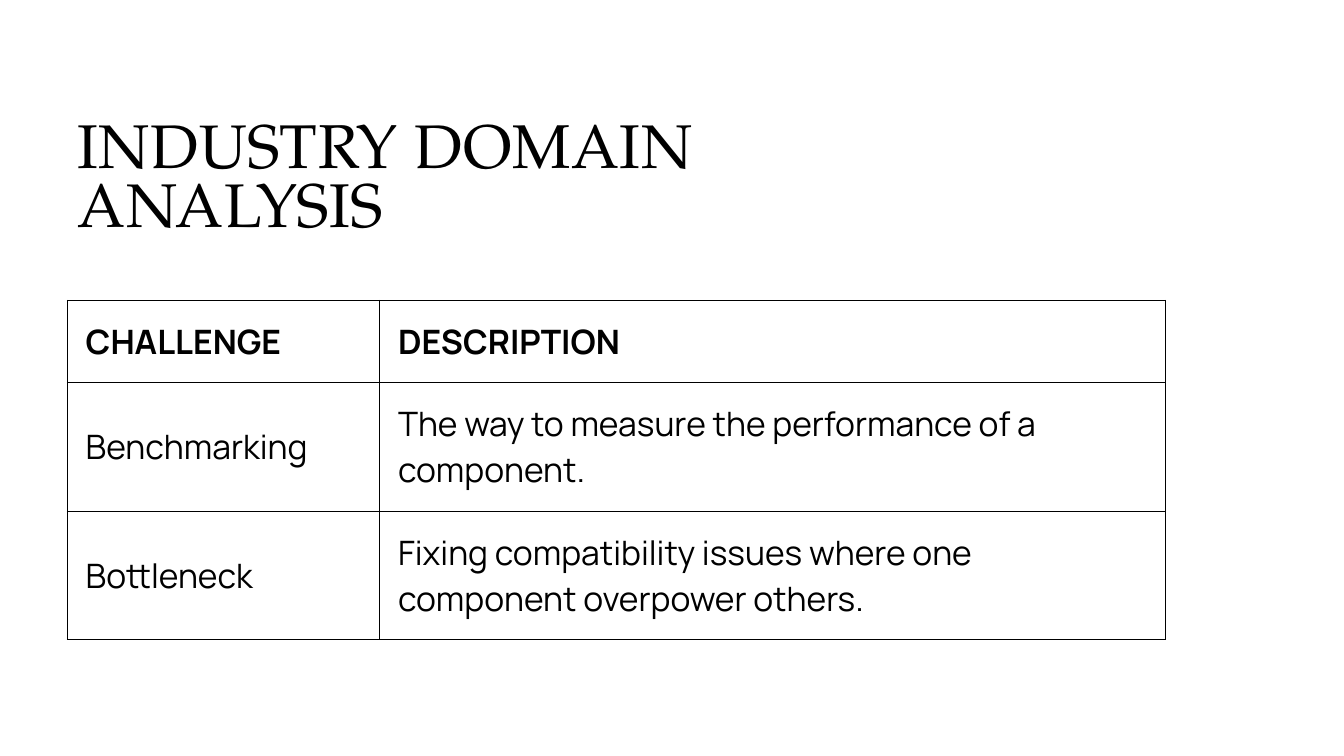
import pptx
import pptx.dml.color
import pptx.enum.text
import pptx.oxml
import pptx.oxml.ns
import pptx.util

Cm = pptx.util.Cm
Pt = pptx.util.Pt
Anchor = pptx.enum.text.MSO_ANCHOR
Align = pptx.enum.text.PP_ALIGN


def colour(hex_value):
    return pptx.dml.color.RGBColor.from_string(hex_value)


def apply(target, formats):
    for name, value in formats.items():
        setattr(target, name, value)


class AnalysisSlide:
    """Holds the style and the current slide, and adds each kind of element."""

    ink = "000000"
    paper = "FFFFFF"
    heading_font = "TeX Gyre Pagella"
    body_font = "Manrope"
    border_width = Pt(1)

    def __init__(self, deck):
        self.slide = deck.slides.add_slide(deck.slide_layouts[5])
        background = self.slide.background.fill
        background.solid()
        background.fore_color.rgb = colour(self.paper)

    def wording(self, paragraph, text, formats):
        run = paragraph.add_run()
        run.text = text
        apply(run.font, formats)
        run.font.color.rgb = colour(self.ink)
        return run

    def title(self, text, place):
        heading = self.slide.shapes.title
        apply(heading, place)
        apply(heading.text_frame, {
            "word_wrap": True,
            "auto_size": pptx.enum.text.MSO_AUTO_SIZE.NONE,
            "vertical_anchor": Anchor.BOTTOM,
        })
        paragraph = heading.text_frame.paragraphs[0]
        apply(paragraph, {"alignment": Align.LEFT, "line_spacing": 0.8})
        run = self.wording(paragraph, text, {
            "name": self.heading_font, "size": Pt(44), "bold": False})
        run.font._element.set("spc", "50")

    def border(self, cell):
        properties = cell._tc.get_or_add_tcPr()
        for position, side in enumerate(("lnL", "lnR", "lnT", "lnB")):
            properties.insert(position, pptx.oxml.parse_xml(
                f'<a:{side} {pptx.oxml.ns.nsdecls("a")} w="{self.border_width}">'
                f'<a:solidFill><a:srgbClr val="{self.ink}"/></a:solidFill></a:{side}>'
            ))

    def table(self, rows, left, top, widths, heights):
        frame = self.slide.shapes.add_table(
            len(rows), len(widths), left, top, sum(widths), sum(heights))
        grid = frame.table
        apply(grid, {"first_row": True, "horz_banding": False})
        for column, width in zip(grid.columns, widths):
            column.width = width
        for row, height in zip(grid.rows, heights):
            row.height = height
        margins = dict.fromkeys(
            ("margin_left", "margin_right", "margin_top", "margin_bottom"), Cm(0.46))
        for row_index, texts in enumerate(rows):
            for column_index, text in enumerate(texts):
                cell = grid.cell(row_index, column_index)
                apply(cell, {**margins, "vertical_anchor": Anchor.MIDDLE})
                cell.fill.background()
                self.border(cell)
                self.wording(cell.text_frame.paragraphs[0], text, {
                    "name": self.body_font, "size": Pt(24), "bold": row_index == 0})


def main():
    deck = pptx.Presentation()
    apply(deck, {"slide_width": Cm(33.87), "slide_height": Cm(19.05)})
    analysis = AnalysisSlide(deck)
    analysis.title("INDUSTRY DOMAIN ANALYSIS", {
        "left": Cm(1.7), "top": Cm(1.85), "width": Cm(23.52), "height": Cm(4.32)})
    challenges = [
        ("CHALLENGE", "DESCRIPTION"),
        ("Benchmarking", "The way to measure the performance of a component."),
        ("Bottleneck", "Fixing compatibility issues where one component overpower others."),
    ]
    analysis.table(
        challenges, Cm(1.7), Cm(7.57),
        widths=[Cm(7.87), Cm(19.81)],
        heights=[Cm(2.03), Cm(3.02), Cm(3.02)])
    deck.save("out.pptx")


if __name__ == "__main__":
    main()
